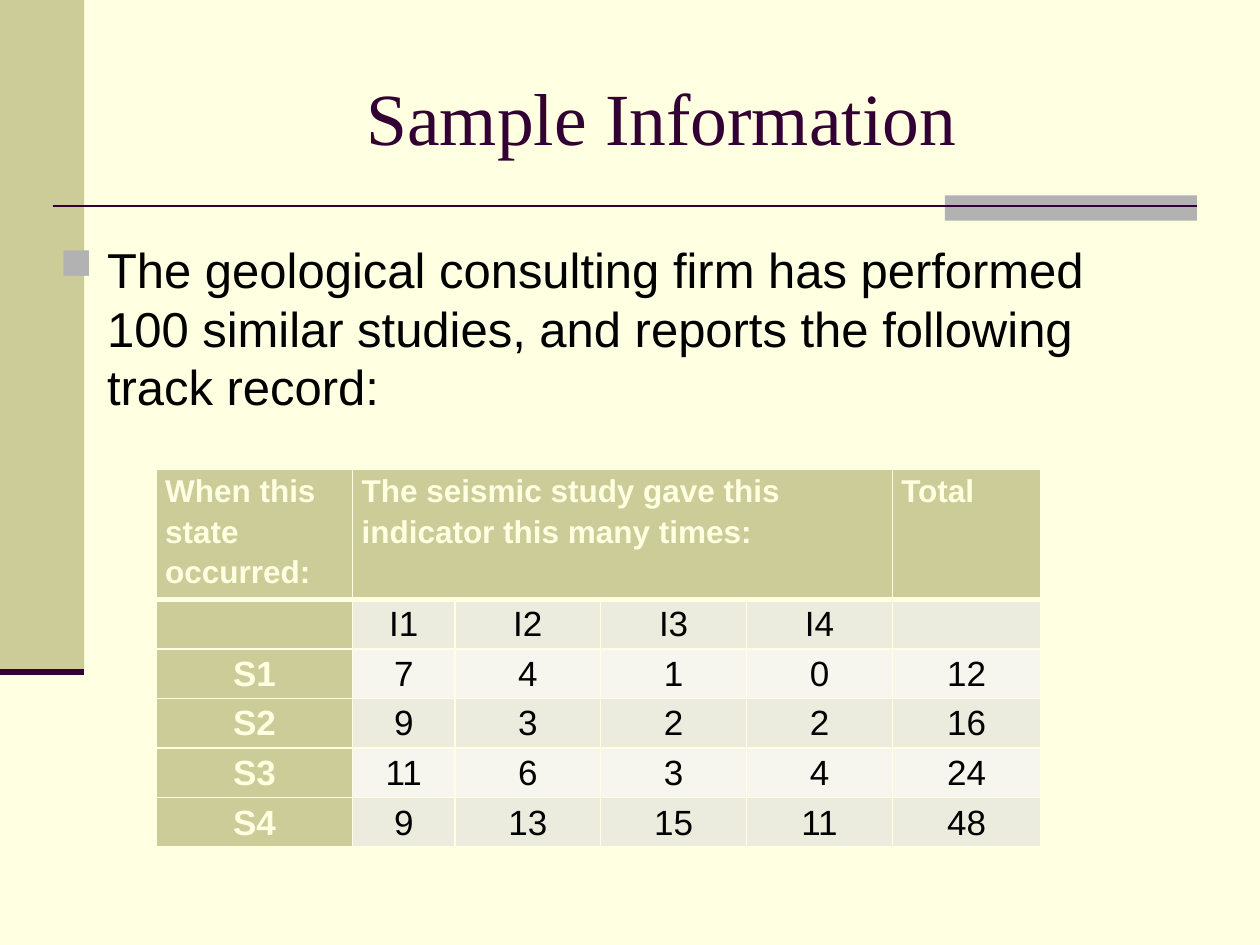
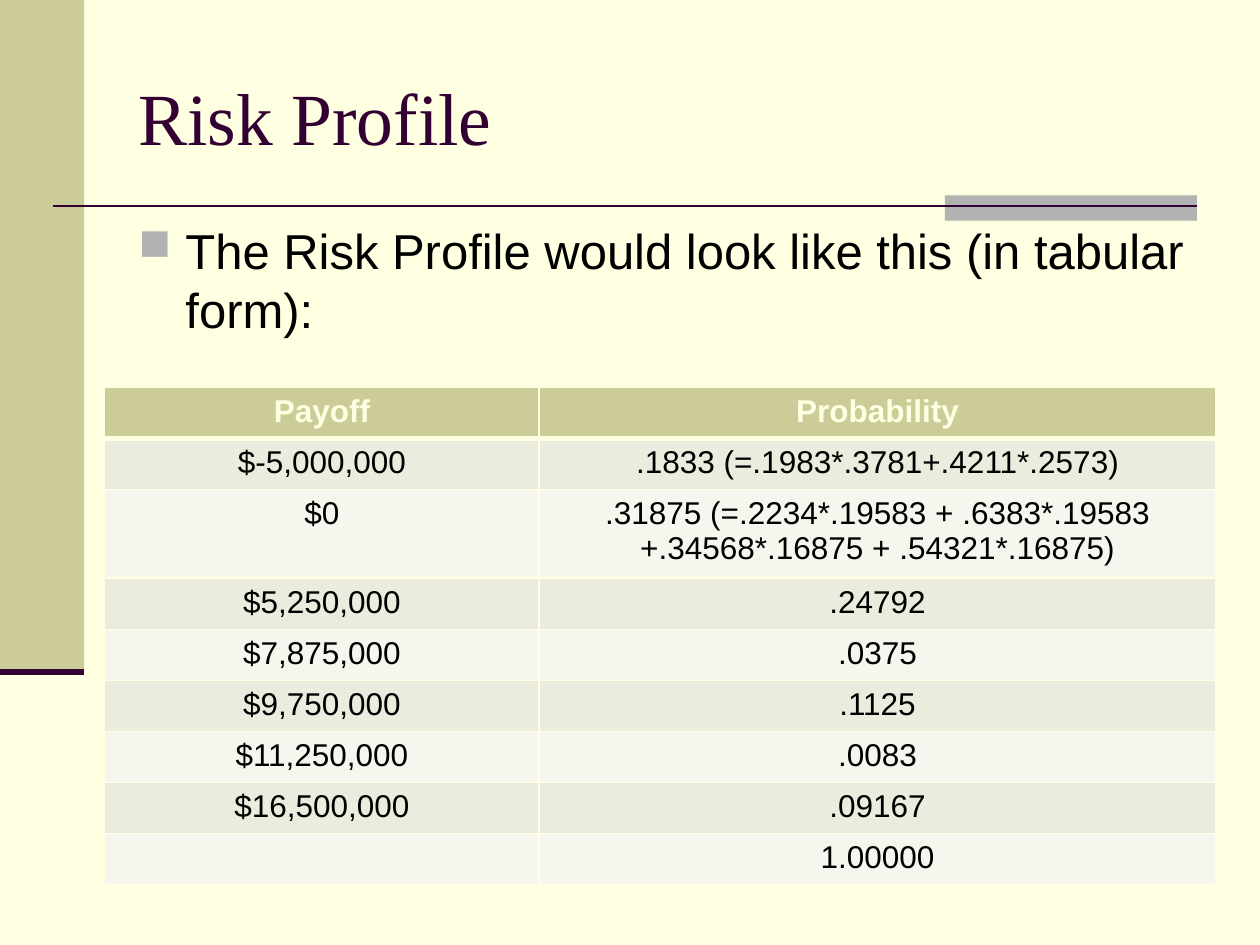
import collections

import pptx
import pptx.dml.color
import pptx.enum.shapes
import pptx.enum.text
import pptx.oxml
import pptx.oxml.ns
import pptx.util
from lxml import etree

Cm = pptx.util.Cm
Pt = pptx.util.Pt
RGBColor = pptx.dml.color.RGBColor
ALIGN = pptx.enum.text.PP_ALIGN
Box = collections.namedtuple("Box", "left top width height")

CREAM = RGBColor(0xFF, 0xFF, 0xE1)
OLIVE = RGBColor(0xCC, 0xCC, 0x99)
GRAY = RGBColor(0xB2, 0xB2, 0xB2)
PLUM = RGBColor(0x33, 0x00, 0x33)
BLACK = RGBColor(0x00, 0x00, 0x00)
BAND_DARK = RGBColor(0xEC, 0xEC, 0xDE)
BAND_LIGHT = RGBColor(0xF6, 0xF6, 0xEF)
TITLE_FONT = "Times New Roman"
BODY_FONT = "Arial"
PAGE = Box(0, 0, 25.4, 19.05)

TRACK_RECORD = [
    ["When this state occurred:",
     "The seismic study gave this indicator this many times:", "", "", "", "Total"],
    ["", "I1", "I2", "I3", "I4", ""],
    ["S1", "7", "4", "1", "0", "12"],
    ["S2", "9", "3", "2", "2", "16"],
    ["S3", "11", "6", "3", "4", "24"],
    ["S4", "9", "13", "15", "11", "48"],
]
RISK_PROFILE = [
    ["Payoff", "Probability"],
    ["$-5,000,000", ".1833 (=.1983*.3781+.4211*.2573)"],
    ["$0", ".31875 (=.2234*.19583 + .6383*.19583 +.34568*.16875 + .54321*.16875)"],
    ["$5,250,000", ".24792"],
    ["$7,875,000", ".0375"],
    ["$9,750,000", ".1125"],
    ["$11,250,000", ".0083"],
    ["$16,500,000", ".09167"],
    ["", "1.00000"],
]


def add_run(paragraph, text, font, size, color, bold=False):
    """Append one formatted run to a paragraph."""
    run = paragraph.add_run()
    run.text = text
    run.font.name = font
    run.font.size = Pt(size)
    run.font.color.rgb = color
    run.font.bold = bold


def add_block(slide, box, color):
    """Draw a plain filled rectangle."""
    block = slide.shapes.add_shape(
        pptx.enum.shapes.MSO_SHAPE.RECTANGLE, *map(Cm, box))
    block.shadow.inherit = False
    block.fill.solid()
    block.fill.fore_color.rgb = color
    block.line.fill.background()


def add_rule(slide, left, right, y, weight):
    """Draw a horizontal plum line."""
    rule = slide.shapes.add_connector(
        pptx.enum.shapes.MSO_CONNECTOR.STRAIGHT, Cm(left), Cm(y), Cm(right), Cm(y))
    rule.line.color.rgb = PLUM
    rule.line.width = Pt(weight)
    etree.SubElement(rule._element.spPr, pptx.oxml.ns.qn("a:effectLst"))


def add_frame(slide, page):
    """Paint the background, side band and title rule inside the page box."""
    slide.background.fill.solid()
    slide.background.fill.fore_color.rgb = CREAM
    band = Box(page.left, page.top, 1.7, 13.55)
    tab = Box(page.left + page.width - 6.35, page.top + 3.94, 5.08, 0.51)
    add_block(slide, band, OLIVE)
    add_block(slide, tab, GRAY)
    add_rule(slide, page.left + 1.06, tab.left + tab.width, page.top + 4.15, 1.5)
    add_rule(slide, band.left, band.left + band.width, band.top + band.height, 3.5)


def add_text_frame(slide, box):
    """Return the wrapping text frame of a new text box."""
    frame = slide.shapes.add_textbox(*map(Cm, box)).text_frame
    frame.word_wrap = True
    return frame


def add_title(slide, box, text):
    """Write the slide title, centred vertically in its box."""
    frame = add_text_frame(slide, box)
    frame.vertical_anchor = pptx.enum.text.MSO_ANCHOR.MIDDLE
    add_run(frame.paragraphs[0], text, TITLE_FONT, 42, PLUM)


def add_bullet(slide, box, text):
    """Write one statement with a gray square bullet."""
    paragraph = add_text_frame(slide, box).paragraphs[0]
    props = paragraph._p.get_or_add_pPr()
    props.set("marL", str(Cm(0.95)))
    props.set("indent", str(Cm(-0.95)))
    for tag, content in (
        ("spcBef", '<a:spcPct val="20000"/>'),
        ("buClr", f'<a:srgbClr val="{GRAY}"/>'),
        ("buSzPct", 90000),
        ("buChar", "■"),
    ):
        space = pptx.oxml.ns.nsdecls("a")
        if tag == "buSzPct":
            xml = f'<a:{tag} {space} val="{content}"/>'
        elif tag == "buChar":
            xml = f'<a:{tag} {space} char="{content}"/>'
        else:
            xml = f"<a:{tag} {space}>{content}</a:{tag}>"
        props.append(pptx.oxml.parse_xml(xml))
    add_run(paragraph, text, BODY_FONT, 28, BLACK)


def set_borders(cell, top, bottom):
    """Edge a cell in cream, with its own top and bottom weights."""
    props = cell._tc.get_or_add_tcPr()
    for side, weight in (("L", 1), ("R", 1), ("T", top), ("B", bottom)):
        props.append(pptx.oxml.parse_xml(
            f'<a:ln{side} {pptx.oxml.ns.nsdecls("a")} w="{Pt(weight)}">'
            f'<a:solidFill><a:srgbClr val="{CREAM}"/></a:solidFill></a:ln{side}>'))


def add_banded_table(slide, box, rows, widths, heights, body_size=18, row_heads=False,
                     header_align=ALIGN.CENTER, spacing=None, margins=(0.25, 0.13)):
    """Build a table with an olive header and alternating body bands."""
    table = slide.shapes.add_table(
        len(rows), len(widths), *map(Cm, box)).table
    table.first_col = row_heads
    for column, width in zip(table.columns, widths):
        column.width = Cm(width)
    for row, height in zip(table.rows, heights):
        row.height = Cm(height)
    side, edge = map(Cm, margins)
    for r, texts in enumerate(rows):
        for c, text in enumerate(texts):
            cell = table.cell(r, c)
            header = r == 0
            accent = header or (row_heads and c == 0)
            cell.margin_left = cell.margin_right = side
            cell.margin_top = cell.margin_bottom = edge
            set_borders(cell, 3 if r == 1 else 1, 3 if header else 1)
            cell.fill.solid()
            cell.fill.fore_color.rgb = (
                OLIVE if accent else BAND_DARK if r % 2 else BAND_LIGHT)
            if text:
                paragraph = cell.text_frame.paragraphs[0]
                paragraph.alignment = header_align if header else ALIGN.CENTER
                paragraph.line_spacing = spacing
                add_run(paragraph, text, BODY_FONT, 18 if header else body_size,
                        CREAM if accent else BLACK, accent)
    return table


def build_sample_information(slide, page):
    """Lay out the track record of the seismic studies."""
    add_frame(slide, page)
    add_bullet(slide, Box(page.left + 0.96, page.top + 4.7, 22.5, 11.25),
               "The geological consulting firm has performed 100 similar studies, "
               "and reports the following track record:")
    add_title(slide, Box(page.left + 7.14, page.top + 0.76, 17, 3.18),
              "Sample Information")
    track_record = add_banded_table(
        slide, Box(page.left + 3.15, page.top + 9.45, 17.83, 7.57), TRACK_RECORD,
        [3.96, 2.06] + [2.94] * 3 + [2.99], [2.57] + [1] * 5, body_size=20,
        row_heads=True, header_align=ALIGN.LEFT, spacing=1.15, margins=(0.18, 0))
    track_record.cell(0, 1).merge(track_record.cell(0, 4))


def build_risk_profile(slide, page):
    """Lay out the payoffs and their probabilities."""
    add_frame(slide, page)
    add_title(slide, Box(page.left + 2.54, page.top + 0.76, 21.6, 3.18), "Risk Profile")
    add_banded_table(
        slide, Box(page.left + 2.11, page.top + 7.81, 22.4, 9.95), RISK_PROFILE,
        [8.76, 13.64], [1.03] * 2 + [1.68] + [1.03] * 6)
    add_bullet(slide, Box(page.left + 2.54, page.top + 4.32, 21.6, 3.5),
               "The Risk Profile would look like this (in tabular form):")


def main():
    """Build and save both slides."""
    deck = pptx.Presentation()
    deck.slide_width = Cm(PAGE.width)
    deck.slide_height = Cm(PAGE.height)
    for build in (build_sample_information, build_risk_profile):
        build(deck.slides.add_slide(deck.slide_layouts[6]), PAGE)
    deck.save("out.pptx")


if __name__ == "__main__":
    main()
